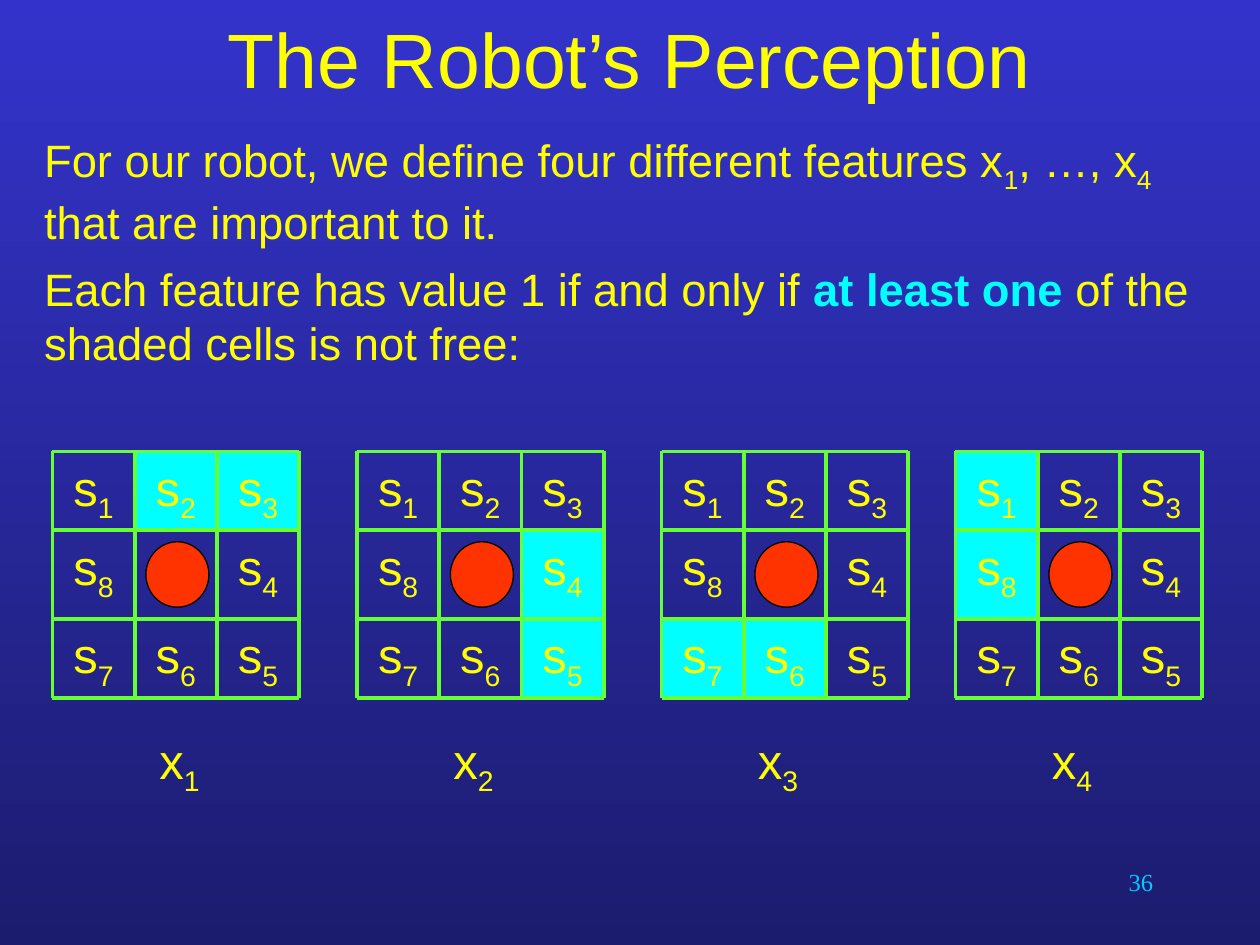
from lxml import etree
from pptx import Presentation
from pptx.dml.color import RGBColor
from pptx.enum.shapes import MSO_CONNECTOR, MSO_SHAPE
from pptx.enum.text import MSO_ANCHOR, MSO_AUTO_SIZE, PP_ALIGN
from pptx.oxml.ns import qn
from pptx.util import Pt

LEFT, CENTER, RIGHT = PP_ALIGN.LEFT, PP_ALIGN.CENTER, PP_ALIGN.RIGHT
TOP, MIDDLE = MSO_ANCHOR.TOP, MSO_ANCHOR.MIDDLE
NO_AUTOFIT = MSO_AUTO_SIZE.NONE
RECTANGLE, OVAL = MSO_SHAPE.RECTANGLE, MSO_SHAPE.OVAL
STRAIGHT = MSO_CONNECTOR.STRAIGHT

COLORS = {
    "sky": "3333CC",
    "night": "1C1C6F",
    "text": "FFFF00",
    "accent": "00FFFF",
    "grid": "66FF33",
    "robot": "FF3300",
    "outline": "000000",
    "number": "00CCFF",
}

COLUMN_WIDTH = 47
ROW_EDGES = [258, 303, 353.5, 399]
CELLS = [[1, 2, 3], [8, None, 4], [7, 6, 5]]  # None is the robot's own cell

# Grid left, label left, numbers of the shaded cells
FEATURES = [
    (30, 84, {2, 3}),
    (204, 252, {4, 5}),
    (378, 426, {6, 7}),
    (546, 594, {8, 1}),
]

# A paragraph is a list of (text, kind) runs
INTRO = [
    [("For our robot, we define four different features x", ""), ("1", "sub"),
     (", …, x", ""), ("4", "sub"), (" that are important to it.", "")],
    [("Each feature has value 1 if and only if ", ""),
     ("at least one", "strong"), (" of the shaded cells is not free:", "")],
]


def rgb(name):
    return RGBColor.from_string(COLORS[name])


class Deck:
    """Holds the style, the slide and the shape collection being drawn on."""

    font = "Arial"
    symbol_size = 28

    def __init__(self, prs):
        self.slide = prs.slides.add_slide(prs.slide_layouts[1])
        self.canvas = self.slide.shapes

    def background(self, top, bottom):
        fill = self.slide.background.fill
        fill.gradient()
        fill.gradient_angle = 270
        for stop, name in zip(fill.gradient_stops, (top, bottom)):
            stop.color.rgb = rgb(name)

    def begin_group(self):
        self.canvas = self.slide.shapes.add_group_shape().shapes

    def fill_paragraph(self, paragraph, runs, size, align=LEFT, color="text",
                       font=None):
        paragraph.alignment = align
        paragraph.font.name = font or self.font
        paragraph.font.size = Pt(size)
        paragraph.font.color.rgb = rgb(color)
        for text, kind in runs:
            run = paragraph.add_run()
            run.text = text
            if kind == "sub":
                run.font._element.set("baseline", "-25000")
            elif kind == "strong":
                run.font.bold = True
                run.font.color.rgb = rgb("accent")

    def place(self, holder, left, top, width, height, anchor):
        holder.left, holder.top = Pt(left), Pt(top)
        holder.width, holder.height = Pt(width), Pt(height)
        frame = holder.text_frame
        frame.auto_size = NO_AUTOFIT
        frame.vertical_anchor = anchor
        return frame

    def title(self, text, *box):
        frame = self.place(self.slide.shapes.title, *box, MIDDLE)
        self.fill_paragraph(frame.paragraphs[0], [(text, "")], 44, CENTER)

    def body(self, paragraphs, *box):
        frame = self.place(self.slide.placeholders[1], *box, TOP)
        for index, runs in enumerate(paragraphs):
            paragraph = frame.add_paragraph() if index else frame.paragraphs[0]
            properties = paragraph._p.get_or_add_pPr()
            properties.set("marL", "0")
            properties.set("indent", "0")
            etree.SubElement(properties, qn("a:buNone"))
            paragraph.space_before = Pt(7 if index else 0)
            self.fill_paragraph(paragraph, runs, 25.9)

    def text(self, runs, left, top, width, height, size, **style):
        box = self.canvas.add_textbox(Pt(left), Pt(top), Pt(width), Pt(height))
        box.text_frame.word_wrap = True
        self.fill_paragraph(box.text_frame.paragraphs[0], runs, size, **style)

    def symbol(self, letter, index, *box, align=LEFT):
        runs = [(letter, ""), (str(index), "sub")]
        self.text(runs, *box, self.symbol_size, align=align)

    def shape(self, preset, left, top, width, height, fill, outline=None):
        shape = self.canvas.add_shape(
            preset, Pt(left), Pt(top), Pt(width), Pt(height))
        shape.shadow.inherit = False
        shape.fill.solid()
        shape.fill.fore_color.rgb = rgb(fill)
        if outline:
            shape.line.color.rgb = rgb(outline)
            shape.line.width = Pt(0.75)
        else:
            shape.line.fill.background()
        return shape

    def shaded_symbol(self, letter, index, *box):
        frame = self.shape(RECTANGLE, *box, "accent").text_frame
        frame.vertical_anchor = TOP
        frame.word_wrap = True
        runs = [(letter, ""), (str(index), "sub")]
        self.fill_paragraph(frame.paragraphs[0], runs, self.symbol_size, CENTER)

    def line(self, x1, y1, x2, y2):
        line = self.canvas.add_connector(
            STRAIGHT, Pt(x1), Pt(y1), Pt(x2), Pt(y2))
        line.line.color.rgb = rgb("grid")
        line.line.width = Pt(2.25)
        etree.SubElement(line._element.spPr, qn("a:effectLst"))

    def feature(self, number, left, label_left, shaded):
        """Draw one 3 by 3 neighbourhood with the robot and its label."""
        self.begin_group()
        column_edges = [left + COLUMN_WIDTH * i for i in range(4)]
        for row, top, bottom in zip(CELLS, ROW_EDGES, ROW_EDGES[1:]):
            for cell, x in zip(row, column_edges):
                box = (x, top, COLUMN_WIDTH, bottom - top)
                if cell in shaded:
                    self.shaded_symbol("s", cell, *box)
                elif cell:
                    self.symbol("s", cell, *box, align=CENTER)
        for y in ROW_EDGES:
            self.line(column_edges[0], y, column_edges[-1], y)
        for x in column_edges:
            self.line(x, ROW_EDGES[0], x, ROW_EDGES[-1])
        self.shape(OVAL, left + 53.4, 309.6, 36, 37.4, "robot", "outline")
        self.symbol("x", number, label_left, 414, 48, 45)


def main():
    prs = Presentation()
    prs.slide_width, prs.slide_height = Pt(720), Pt(540)
    deck = Deck(prs)
    deck.background("sky", "night")
    deck.title("The Robot’s Perception", 54, 0, 612, 66)
    deck.body(INTRO, 18, 72, 684, 150)
    deck.text([("36", "")], 516, 492, 150, 36, 14,
              align=RIGHT, color="number", font="Times New Roman")
    for number, (left, label_left, shaded) in enumerate(FEATURES, 1):
        deck.feature(number, left, label_left, shaded)
    prs.save("out.pptx")


if __name__ == "__main__":
    main()
